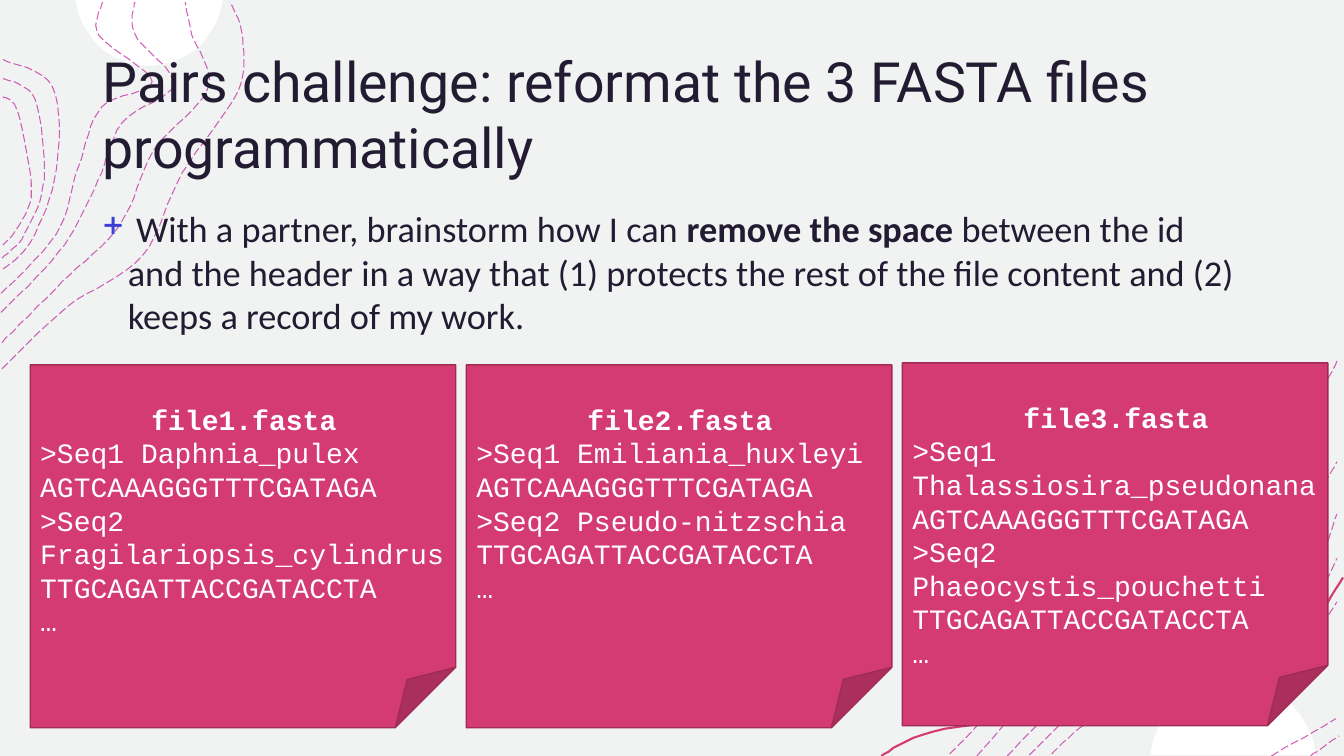
from dataclasses import dataclass
from math import asin, cos, pi, sin

from lxml.etree import SubElement
from pptx import Presentation
from pptx.dml.color import RGBColor
from pptx.enum.dml import MSO_LINE_DASH_STYLE as Dash
from pptx.enum.shapes import MSO_SHAPE as Preset
from pptx.enum.text import MSO_ANCHOR as Anchor, PP_ALIGN as Align
from pptx.oxml.ns import qn
from pptx.shapes.autoshape import Shape
from pptx.slide import Slide
from pptx.text.text import TextFrame, _Paragraph as Paragraph
from pptx.util import Inches, Length, Pt

COLUMNS, ROWS = 1333, 750
CELL = Inches(0.01)

PAPER = RGBColor(0xF0, 0xF3, 0xF2)
WHITE = RGBColor(0xFF, 0xFF, 0xFF)
INK = RGBColor(0x23, 0x1B, 0x31)
BLUE = RGBColor(0x3B, 0x40, 0xD5)
PINK = RGBColor(0xD5, 0x3B, 0x73)
DARK_PINK = RGBColor(0x9E, 0x2C, 0x55)
PURPLE = RGBColor(0xC3, 0x29, 0xA2)

Points = tuple[tuple[float, float], ...]


@dataclass(frozen=True)
class Dome:
    column: int
    edge: int
    radius: int
    overhang: int
    direction: int


@dataclass(frozen=True)
class Contours:
    first: Points
    last: Points
    shares: tuple[float, ...]


@dataclass(frozen=True)
class Card:
    row: int
    name: str
    lines: tuple[str, ...]


@dataclass(frozen=True)
class Style:
    font: str
    size: float
    color: RGBColor


TITLE = Style("Roboto", 39.6, INK)
BODY = Style("Calibri", 25.9, INK)
CODE = Style("Courier New", 20, WHITE)

DOMES = (Dome(148, 0, 73, 8, 1), Dome(1223, 749, 82, 8, -1))
SWOOSH: Points = ((874, 750), (925, 726), (1048, 708), (1143, 695), (1244, 672),
                  (1292, 634), (1332, 573))
CONTOURS = (
    Contours(((2, 366), (66, 305), (141, 254), (181, 171), (236, 91), (240, 33), (228, 2)),
             ((1, 291), (56, 232), (78, 165), (101, 106), (151, 81), (98, 35), (102, 2)),
             (0, 0.35, 0.75, 1)),
    Contours(((3, 59), (52, 86), (56, 168), (31, 239), (2, 268)),
             ((3, 96), (18, 112), (31, 189), (18, 225), (3, 243)),
             (0, 0.5, 1)),
    Contours(((942, 748), (1032, 660), (1098, 625), (1137, 629), (1200, 596), (1286, 510),
              (1308, 404), (1326, 358)),
             ((969, 750), (1049, 662), (1103, 638), (1145, 641), (1195, 610), (1276, 548),
              (1307, 492), (1326, 458)),
             (0, 1)),
    Contours(((999, 750), (1071, 680), (1125, 672), (1184, 658), (1244, 631), (1299, 577),
              (1326, 510)),
             ((1043, 748), (1084, 714), (1145, 699), (1188, 703), (1264, 669), (1290, 653),
              (1326, 597)),
             (0, 0.5, 1)),
    Contours(((1261, 750), (1325, 713)), ((1300, 750), (1328, 730)), (0, 1)),
)

CARDS = (
    Card(362, "file1.fasta", (">Seq1 Daphnia_pulex", "AGTCAAAGGGTTTCGATAGA",
                              ">Seq2 Fragilariopsis_cylindrus", "TTGCAGATTACCGATACCTA", "…")),
    Card(362, "file2.fasta", (">Seq1 Emiliania_huxleyi", "AGTCAAAGGGTTTCGATAGA",
                              ">Seq2 Pseudo-nitzschia", "TTGCAGATTACCGATACCTA", "…")),
    Card(360, "file3.fasta", (">Seq1 Thalassiosira_pseudonana", "AGTCAAAGGGTTTCGATAGA",
                              ">Seq2 Phaeocystis_pouchetti TTGCAGATTACCGATACCTA", "…")),
)
CARD_LEFT, CARD_PITCH, CARD_WIDTH, CARD_HEIGHT = 30, 432.5, 422, 360


def cells(count: float) -> Length:
    return Length(round(count * CELL))


def smooth(points: Points, steps: int = 8) -> Points:
    padded = (points[0], *points, points[-1])
    curve = [points[0]]
    for before, start, end, after in zip(padded, padded[1:], padded[2:], padded[3:]):
        for step in range(1, steps + 1):
            t = step / steps
            curve.append(tuple(
                b + t / 2 * (c - a + t * (2 * a - 5 * b + 4 * c - d + t * (3 * (b - c) + d - a)))
                for a, b, c, d in zip(before, start, end, after)))
    return tuple(curve)


def blend(first: Points, last: Points, share: float) -> Points:
    return tuple((x + (u - x) * share, y + (v - y) * share)
                 for (x, y), (u, v) in zip(first, last))


def draw_outline(page: Slide, points: Points, closed: bool = False) -> Shape:
    builder = page.shapes.build_freeform(*points[0], scale=CELL)
    builder.add_line_segments(points[1:], close=closed)
    shape = builder.convert_to_shape()
    shape.shadow.inherit = False
    return shape


def draw_dome(page: Slide, dome: Dome, steps: int = 40) -> None:
    start = asin(dome.overhang / dome.radius)
    angles = [start + (pi - 2 * start) * step / steps for step in range(steps + 1)]
    arc = tuple((dome.column + dome.radius * cos(angle),
                 dome.edge + dome.direction * (dome.radius * sin(angle) - dome.overhang))
                for angle in angles)
    shape = draw_outline(page, arc, closed=True)
    shape.fill.solid()
    shape.fill.fore_color.rgb = WHITE
    shape.line.fill.background()


def draw_curve(page: Slide, points: Points, color: RGBColor, width: float) -> Shape:
    shape = draw_outline(page, smooth(points))
    shape.fill.background()
    shape.line.color.rgb = color
    shape.line.width = Pt(width)
    return shape


def draw_contours(page: Slide, contours: Contours) -> None:
    for share in contours.shares:
        points = blend(contours.first, contours.last, share)
        shape = draw_curve(page, points, PURPLE, 0.75)
        shape.line.dash_style = Dash.LONG_DASH
        for color in shape._element.iter(qn("a:srgbClr")):
            SubElement(color, qn("a:alpha"), val="75000")


def add_run(para: Paragraph, text: str, style: Style, bold: bool = False) -> None:
    para.line_spacing = Pt(round(style.size * 1.2, 1))
    span = para.add_run()
    span.text = text
    span.font.name = style.font
    span.font.size = Pt(style.size)
    span.font.bold = bold
    span.font.color.rgb = style.color


def add_text_box(page: Slide, row: int, anchor: Anchor) -> TextFrame:
    box = page.shapes.add_textbox(cells(92), cells(row), cells(1150), cells(145))
    box.text_frame.word_wrap = True
    box.text_frame.vertical_anchor = anchor
    return box.text_frame


def add_plus_bullet(para: Paragraph) -> None:
    properties = para._p.get_or_add_pPr()
    properties.set("marL", str(cells(25)))
    properties.set("indent", str(-cells(25)))
    color = SubElement(properties, qn("a:buClr"))
    SubElement(color, qn("a:srgbClr"), val=str(BLUE))
    SubElement(properties, qn("a:buChar"), char="+")


def draw_card(page: Slide, card: Card, index: int) -> None:
    box = page.shapes.add_shape(
        Preset.FOLDED_CORNER, cells(CARD_LEFT + index * CARD_PITCH), cells(card.row),
        cells(CARD_WIDTH), cells(CARD_HEIGHT))
    box.shadow.inherit = False
    box.fill.solid()
    box.fill.fore_color.rgb = PINK
    box.line.color.rgb = DARK_PINK
    box.line.width = Pt(1)
    frame = box.text_frame
    frame.word_wrap = True
    frame.vertical_anchor = Anchor.TOP
    frame.margin_top = cells(37)
    frame.margin_right = cells(8)
    heading = frame.paragraphs[0]
    heading.alignment = Align.CENTER
    add_run(heading, card.name, CODE, bold=True)
    for line in card.lines:
        para = frame.add_paragraph()
        para.alignment = Align.LEFT
        add_run(para, line, CODE)


def main() -> None:
    deck = Presentation()
    deck.slide_width, deck.slide_height = cells(COLUMNS), cells(ROWS)
    page = deck.slides.add_slide(deck.slide_layouts[6])
    page.background.fill.solid()
    page.background.fill.fore_color.rgb = PAPER
    for dome in DOMES:
        draw_dome(page, dome)
    draw_curve(page, SWOOSH, PINK, 1.5)
    for contours in CONTOURS:
        draw_contours(page, contours)
    title = add_text_box(page, 40, Anchor.MIDDLE).paragraphs[0]
    add_run(title, "Pairs challenge: reformat the 3 FASTA files programmatically", TITLE)
    task = add_text_box(page, 200, Anchor.TOP).paragraphs[0]
    add_run(task, " With a partner, brainstorm how I can ", BODY)
    add_run(task, "remove the space ", BODY, bold=True)
    add_run(task, "between the id and the header in a way that (1) protects the rest of the "
                  "file content and (2) keeps a record of my work.", BODY)
    add_plus_bullet(task)
    for index, card in enumerate(CARDS):
        draw_card(page, card, index)
    deck.save("out.pptx")


if __name__ == "__main__":
    main()
